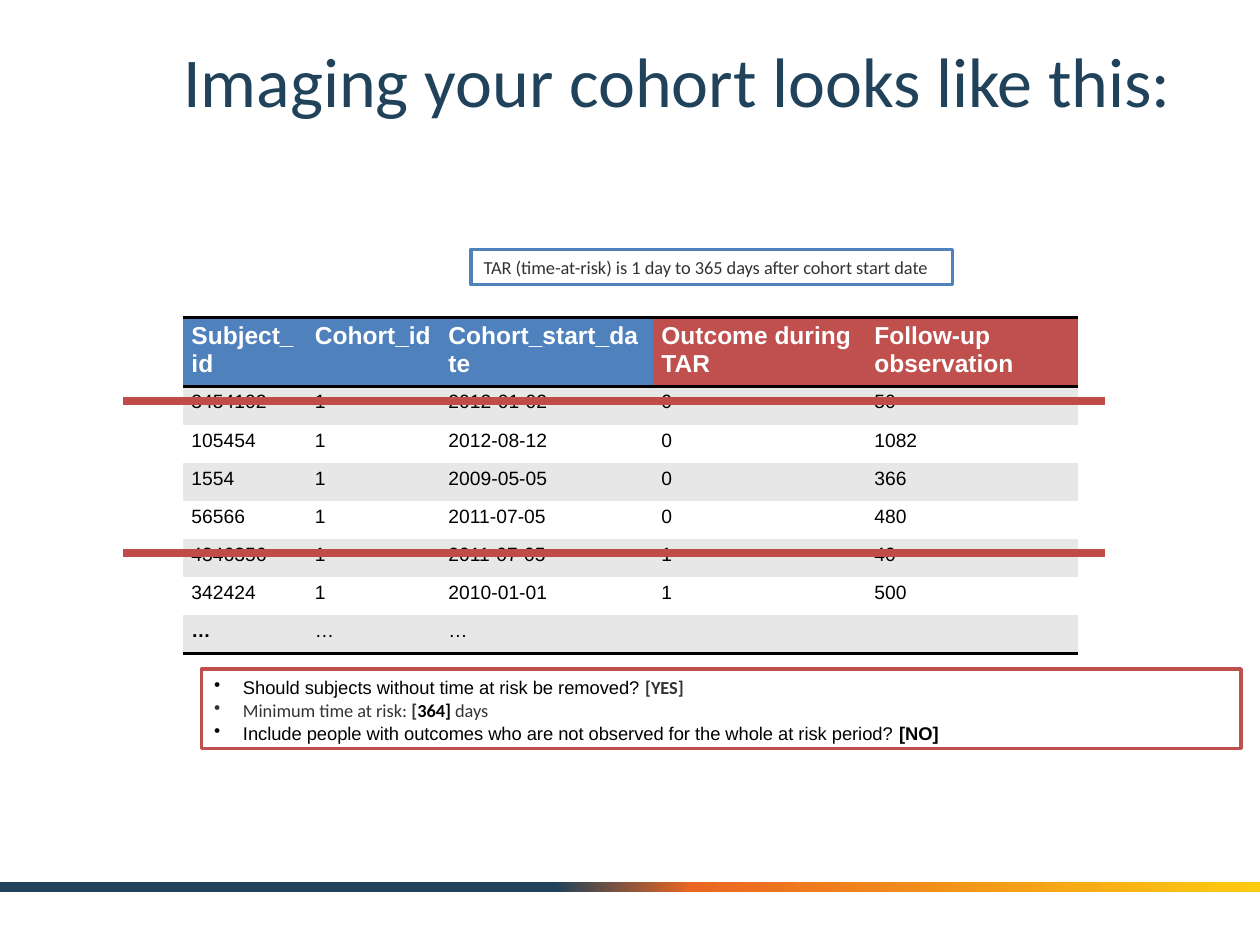
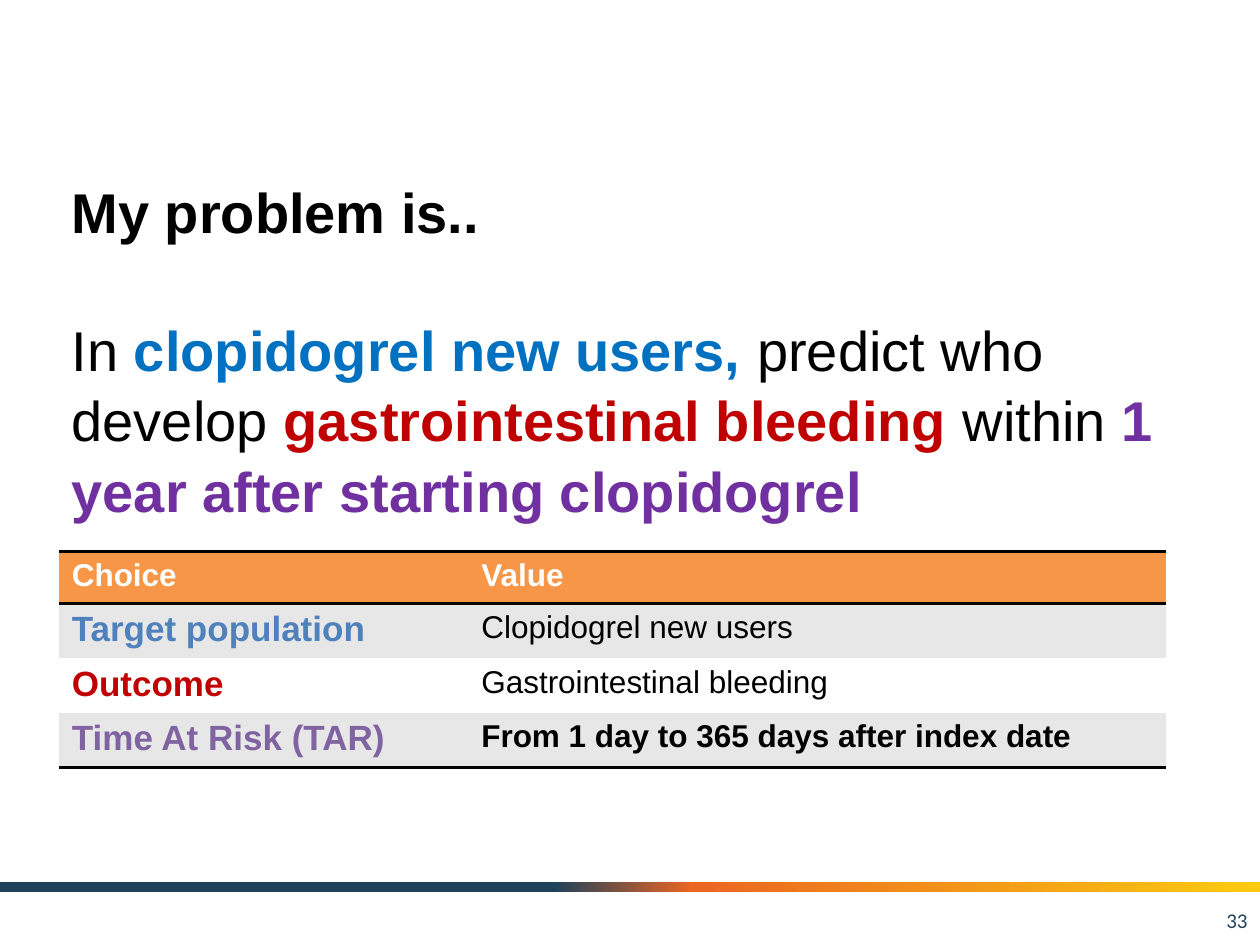
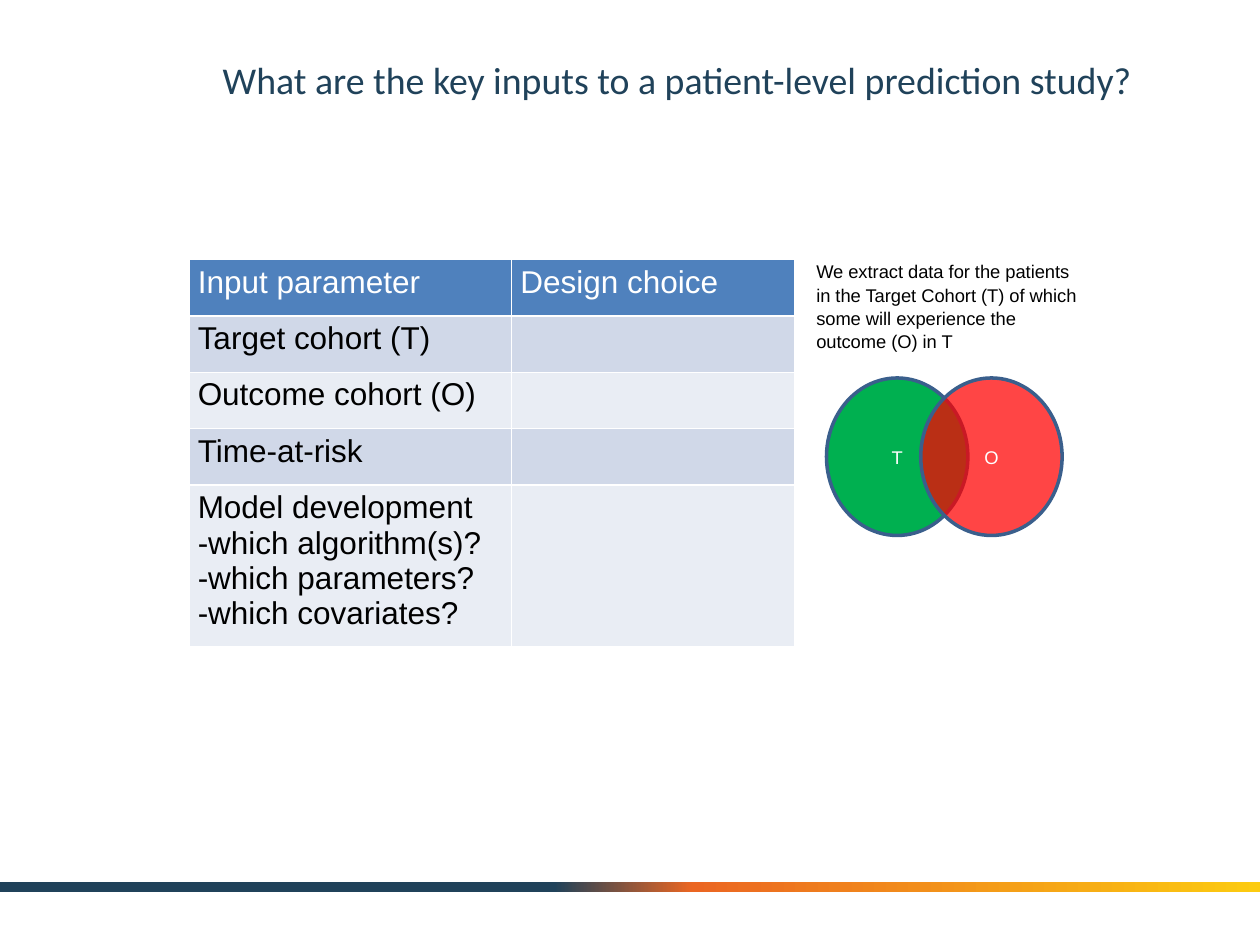
from dataclasses import dataclass

from lxml import etree
from pptx import Presentation
from pptx.dml.color import RGBColor
from pptx.enum.shapes import MSO_CONNECTOR, MSO_SHAPE
from pptx.enum.text import MSO_ANCHOR, PP_ALIGN
from pptx.oxml.ns import qn
from pptx.util import Inches, Pt

RECTANGLE, OVAL = MSO_SHAPE.RECTANGLE, MSO_SHAPE.OVAL
STRAIGHT = MSO_CONNECTOR.STRAIGHT
TOP, MIDDLE = MSO_ANCHOR.TOP, MSO_ANCHOR.MIDDLE
LEFT, CENTER, RIGHT = PP_ALIGN.LEFT, PP_ALIGN.CENTER, PP_ALIGN.RIGHT

NAVY = RGBColor(0x20, 0x42, 0x5A)
EMBER = RGBColor(0xEB, 0x66, 0x22)
YELLOW = RGBColor(0xFC, 0xCB, 0x10)
WHITE = RGBColor(0xFF, 0xFF, 0xFF)
BLACK = RGBColor(0, 0, 0)
CHARCOAL = RGBColor(0x33, 0x33, 0x33)
STRIPE = RGBColor(0xE7, 0xE7, 0xE7)
BLUE = RGBColor(0x4F, 0x81, 0xBD)
BRICK = RGBColor(0xC0, 0x50, 0x4D)
STRIKE = RGBColor(0xBF, 0x4C, 0x48)
ORANGE = RGBColor(0xF7, 0x96, 0x46)
POPULATION = RGBColor(0x00, 0x70, 0xC0)
OUTCOME = RGBColor(0xC0, 0x00, 0x00)
TIME = RGBColor(0x70, 0x30, 0xA0)
MAUVE = RGBColor(0x80, 0x64, 0xA2)
PALE_DARK = RGBColor(0xD0, 0xD8, 0xE8)
PALE_LIGHT = RGBColor(0xE9, 0xED, 0xF4)
GREEN = RGBColor(0x00, 0xB0, 0x50)
RED = RGBColor(0xFF, 0x00, 0x00)
RIM = RGBColor(0x3A, 0x5F, 0x8C)

SLIDE_WIDTH, SLIDE_HEIGHT = Inches(10), Inches(7.5)
GRID_COLUMNS, GRID_ROWS = 100, 75
COLUMN, ROW = SLIDE_WIDTH / GRID_COLUMNS, SLIDE_HEIGHT / GRID_ROWS
PLAIN_TABLE = "{2D5ABB26-0587-4C30-8999-92F81FD0307C}"
NARROW_MARGINS, WIDE_MARGINS = (0.7, 0.4), (1, 0.5)
LOOSE = 1.05


@dataclass(frozen=True)
class Box:
    left: float
    top: float
    width: float
    height: float

    def emu(self):
        return (round(self.left * COLUMN), round(self.top * ROW),
                round(self.width * COLUMN), round(self.height * ROW))

    def inner(self, x, y, width, height):
        return Box(self.left + x * self.width, self.top + y * self.height,
                   self.width * width, self.height * height)


@dataclass(frozen=True)
class Style:
    size: float = 10.5
    color: RGBColor = BLACK
    name: str = "Arial"
    bold: bool = False

    def apply(self, font):
        font.size, font.name, font.bold = Pt(self.size), self.name, self.bold
        font.color.rgb = self.color


BODY = Style()
BODY_BOLD = Style(bold=True)
NOTE = Style(color=CHARCOAL, name="Calibri")
NOTE_BOLD = Style(color=CHARCOAL, name="Calibri", bold=True)
KEY_BOLD = Style(name="Calibri", bold=True)

TITLE_BOX = Box(12.5, 1.7, 82.5, 9.2)
BAND_BOX = Box(0, 70, GRID_COLUMNS, 0.8)
NUMBER_BOX = Box(76.7, 71, 23.3, 4)


def write(frame, paragraphs, style, align=LEFT, spacing=None):
    for index, content in enumerate(paragraphs):
        paragraph = frame.add_paragraph() if index else frame.paragraphs[0]
        paragraph.alignment = align
        if spacing:
            paragraph.line_spacing = spacing
        style.apply(paragraph.font)
        if isinstance(content, str):
            content = [(content, None)] if content else []
        for text, run_style in content:
            run = paragraph.add_run()
            run.text = text
            if run_style:
                run_style.apply(run.font)


def add_text(slide, box, paragraphs, style, align=LEFT, anchor=TOP, spacing=None):
    frame = slide.shapes.add_textbox(*box.emu()).text_frame
    frame.word_wrap = True
    frame.vertical_anchor = anchor
    write(frame, paragraphs, style, align, spacing)
    return frame


def add_panel(slide, kind, box, fill, line):
    shape = slide.shapes.add_shape(kind, *box.emu())
    shape.shadow.inherit = False
    shape.fill.solid()
    shape.fill.fore_color.rgb = fill
    if line:
        shape.line.color.rgb = line
        shape.line.width = Pt(2)
    else:
        shape.line.fill.background()
    return shape


def add_title(slide, text, size):
    frame = add_text(slide, TITLE_BOX, [text], Style(size, NAVY, "Calibri"), CENTER, MIDDLE)
    frame.margin_top = frame.margin_bottom = round(ROW)


def add_band(slide):
    band = add_panel(slide, RECTANGLE, BAND_BOX, NAVY, None)
    gradient = etree.Element(qn("a:gradFill"), rotWithShape="1")
    stops = etree.SubElement(gradient, qn("a:gsLst"))
    for percent, color in ((0, NAVY), (44, NAVY), (55, EMBER), (100, YELLOW)):
        stop = etree.SubElement(stops, qn("a:gs"), pos=str(percent * 1000))
        etree.SubElement(stop, qn("a:srgbClr"), val=str(color))
    etree.SubElement(gradient, qn("a:lin"), ang="0", scaled="0")
    solid = band.element.spPr.find(qn("a:solidFill"))
    solid.getparent().replace(solid, gradient)


def add_border(cell, sides, color, points):
    properties = cell._tc.get_or_add_tcPr()
    for side in sides:
        line = etree.SubElement(properties, qn(f"a:ln{side}"), w=str(Pt(points)))
        fill = etree.SubElement(line, qn("a:solidFill"))
        etree.SubElement(fill, qn("a:srgbClr"), val=str(color))


def add_grid(slide, box, columns, rows, cells, fill_of, style_of, borders_of, margins):
    frame = slide.shapes.add_table(len(rows), len(columns), *box.emu())
    next(frame.element.iter(qn("a:tableStyleId"))).text = PLAIN_TABLE
    table = frame.table
    table.first_row = table.horz_banding = False
    for column, width in zip(table.columns, columns):
        column.width = round(width * COLUMN)
    for row, height in zip(table.rows, rows):
        row.height = round(height * ROW)
    for r, texts in enumerate(cells):
        for c, text in enumerate(texts):
            cell = table.cell(r, c)
            cell.margin_left = cell.margin_right = round(margins[0] * COLUMN)
            cell.margin_top = cell.margin_bottom = round(margins[1] * ROW)
            add_border(cell, *borders_of(r))
            cell.fill.solid()
            cell.fill.fore_color.rgb = fill_of(r, c)
            write(cell.text_frame, text.split("\n"), style_of(r, c))


def ruled(last):
    sides = {0: ("T", "B"), last: ("B",)}
    return lambda r: (sides.get(r, ()), BLACK, 2)


def striped(r):
    return STRIPE if r % 2 else WHITE


def add_cohort_table(slide, box):
    cells = [
        ("Subject_id", "Cohort_id", "Cohort_start_date", "Outcome during TAR",
         "Follow-up observation"),
        ("3454102", "1", "2012-01-02", "0", "50"),
        ("105454", "1", "2012-08-12", "0", "1082"),
        ("1554", "1", "2009-05-05", "0", "366"),
        ("56566", "1", "2011-07-05", "0", "480"),
        ("4346356", "1", "2011-07-05", "1", "40"),
        ("342424", "1", "2010-01-01", "1", "500"),
        ("…", "…", "…", "", ""),
    ]
    last = len(cells) - 1
    header, height = 5.3, 3.03

    def fill_of(r, c):
        return striped(r) if r else BLUE if c < 3 else BRICK

    def style_of(r, c):
        if r == 0:
            return Style(14, WHITE, bold=True)
        return Style(11, bold=(r, c) == (last, 0))

    add_grid(slide, box, (9.8, 10.6, 16.9, 16.9, 16.9), [header] + [height] * last,
             cells, fill_of, style_of, ruled(last), NARROW_MARGINS)
    overhang = 4.7
    for removed in (0, 4):
        y = round((box.top + header + (removed + 0.43) * height) * ROW)
        start = round((box.left - overhang) * COLUMN)
        end = round((box.left + box.width + 2.1) * COLUMN)
        strike = slide.shapes.add_connector(STRAIGHT, start, y, end, y)
        strike.line.color.rgb = STRIKE
        strike.line.width = Pt(4.5)
        etree.SubElement(strike.element.spPr, qn("a:effectLst"))


def add_note(slide, box):
    note = add_panel(slide, RECTANGLE, box, WHITE, BLUE)
    note.text_frame.vertical_anchor = TOP
    write(note.text_frame,
          ["TAR (time-at-risk) is 1 day to 365 days after cohort start date"], NOTE)


def add_questions(slide, box):
    panel = add_panel(slide, RECTANGLE, box, WHITE, BRICK)
    frame = panel.text_frame
    frame.vertical_anchor = TOP
    write(frame, [
        [("Should subjects without time at risk be removed? ", BODY), ("[YES]", NOTE_BOLD)],
        [("Minimum time at risk: ", NOTE), ("[", NOTE_BOLD), ("364]", KEY_BOLD),
         (" days", NOTE)],
        [("Include people with outcomes who are not observed for the whole at risk period? ",
          BODY), ("[NO]", BODY_BOLD)],
    ], BODY, spacing=LOOSE)
    indent = round(2.3 * COLUMN)
    for paragraph in frame.paragraphs:
        properties = paragraph._p.get_or_add_pPr()
        properties.set("marL", str(indent))
        properties.set("indent", str(-indent))
        bullet = etree.Element(qn("a:buChar"), char="•")
        properties.find(qn("a:defRPr")).addprevious(bullet)


def add_problem(slide, box):
    def strong(color):
        return Style(32, color, bold=True)

    frame = add_text(slide, box, [
        [("My problem is..", strong(BLACK))],
        [("In ", None), ("clopidogrel new users, ", strong(POPULATION)),
         ("predict who develop ", None), ("gastrointestinal bleeding ", strong(OUTCOME)),
         ("within ", None), ("1 year after starting clopidogrel", strong(TIME))],
    ], Style(32), spacing=LOOSE)
    frame.paragraphs[0].space_after = Pt(38.6)


def add_choices(slide, box):
    cells = [
        ("Choice", "Value"),
        ("Target population", "Clopidogrel new users"),
        ("Outcome", "Gastrointestinal bleeding"),
        ("Time At Risk (TAR)", "From 1 day to 365 days after index date"),
    ]
    last = len(cells) - 1
    label_colors = (WHITE, BLUE, OUTCOME, MAUVE)

    def style_of(r, c):
        if r == 0:
            return Style(18, WHITE, bold=True)
        return Style(18, bold=r == last) if c else Style(20, label_colors[r], bold=True)

    add_grid(slide, box, (32.5, 55.3), [4.1] + [4.33] * last, cells,
             lambda r, c: striped(r) if r else ORANGE, style_of, ruled(last), WIDE_MARGINS)


def add_inputs(slide, box):
    cells = [
        ("Input parameter", "Design choice"),
        ("Target cohort (T)", ""),
        ("Outcome cohort (O)", ""),
        ("Time-at-risk", ""),
        ("Model development\n-which algorithm(s)?\n-which parameters?\n-which covariates?", ""),
    ]

    def fill_of(r, c):
        return BLUE if r == 0 else PALE_DARK if r % 2 else PALE_LIGHT

    add_grid(slide, box, (25.6, 22.5), [4.48] * 4 + [12.7], cells, fill_of,
             lambda r, c: Style(18, BLACK if r else WHITE),
             lambda r: ("LRTB", WHITE, 1), NARROW_MARGINS)


def add_venn(slide, box):
    circle_share = 0.6
    for index, (letter, fill) in enumerate((("T", GREEN), ("O", RED))):
        circle_box = box.inner(index * (1 - circle_share), 0, circle_share, 1)
        circle = add_panel(slide, OVAL, circle_box, fill, RIM)
        circle.text_frame.vertical_anchor = MIDDLE
        write(circle.text_frame, [letter], Style(color=WHITE), CENTER)
    color = circle.element.spPr.find(qn("a:solidFill"))[0]
    etree.SubElement(color, qn("a:alpha"), val="73000")


def build_cohort(slide):
    add_title(slide, "Imaging your cohort looks like this:", 40)
    add_note(slide, Box(37.4, 19.8, 38.2, 2.8))
    add_questions(slide, Box(16, 53.1, 82.5, 6.3))
    add_cohort_table(slide, Box(14.5, 25.2, 71.1, 26.5))


def build_problem(slide):
    add_problem(slide, Box(4.7, 13.3, 87.8, 27.9))
    add_choices(slide, Box(4.7, 43.8, 87.8, 17.1))
    add_text(slide, NUMBER_BOX, ["33"], Style(12, NAVY, "Calibri"), RIGHT, MIDDLE)


def build_inputs(slide):
    add_title(slide, "What are the key inputs to a patient-level prediction study?", 21.6)
    add_inputs(slide, Box(15, 20.6, 48.1, 30.6))
    add_venn(slide, Box(65.6, 30, 18.7, 12.5))
    add_text(slide, Box(63.8, 20.1, 23.1, 8.1),
             ["We extract data for the patients in the Target Cohort (T) of which "
              "some will experience the outcome (O) in T"], BODY, spacing=LOOSE)


def main():
    presentation = Presentation()
    presentation.slide_width, presentation.slide_height = SLIDE_WIDTH, SLIDE_HEIGHT
    blank = presentation.slide_layouts[6]
    for build in (build_cohort, build_problem, build_inputs):
        slide = presentation.slides.add_slide(blank)
        add_band(slide)
        build(slide)
    presentation.save("out.pptx")


if __name__ == "__main__":
    main()
